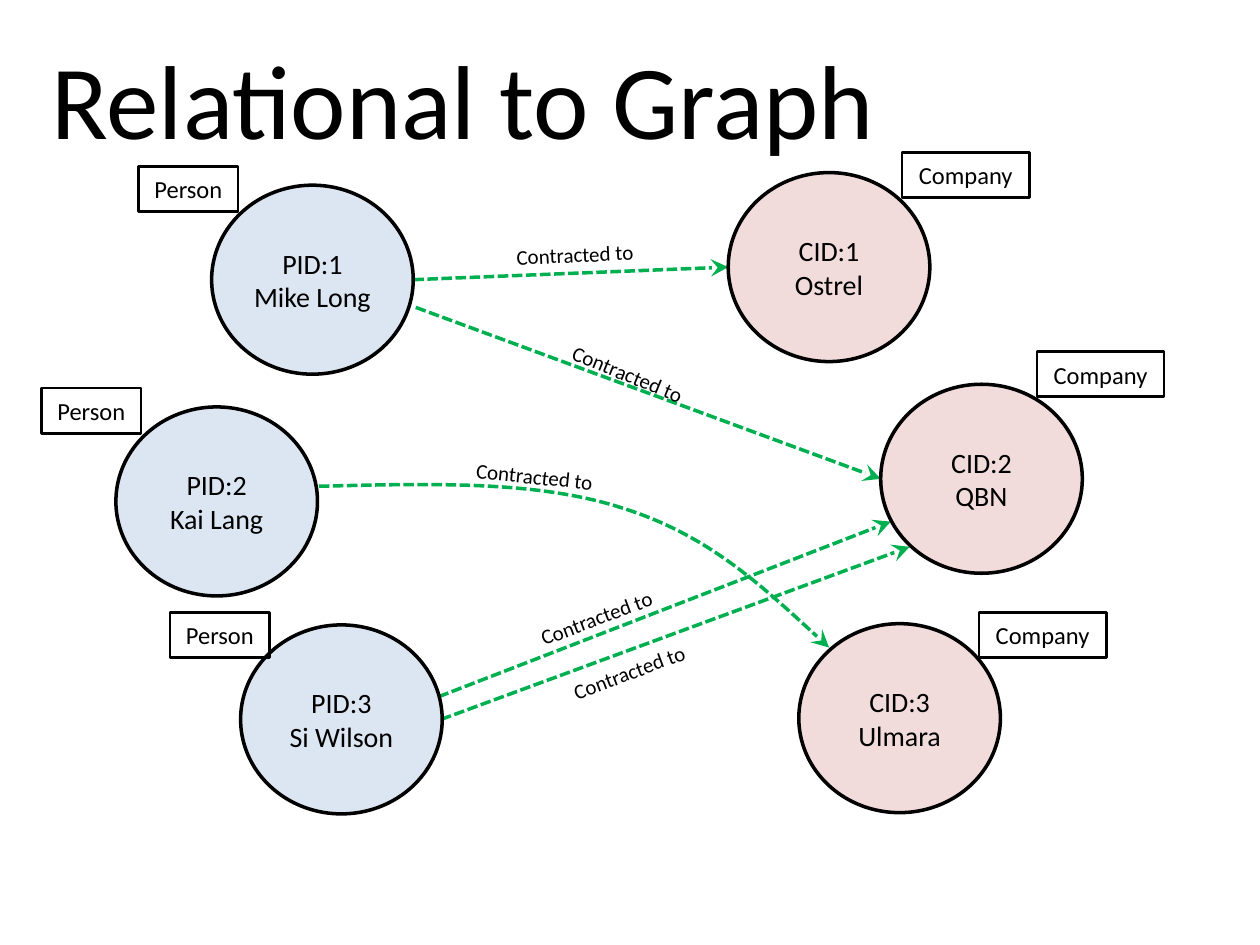
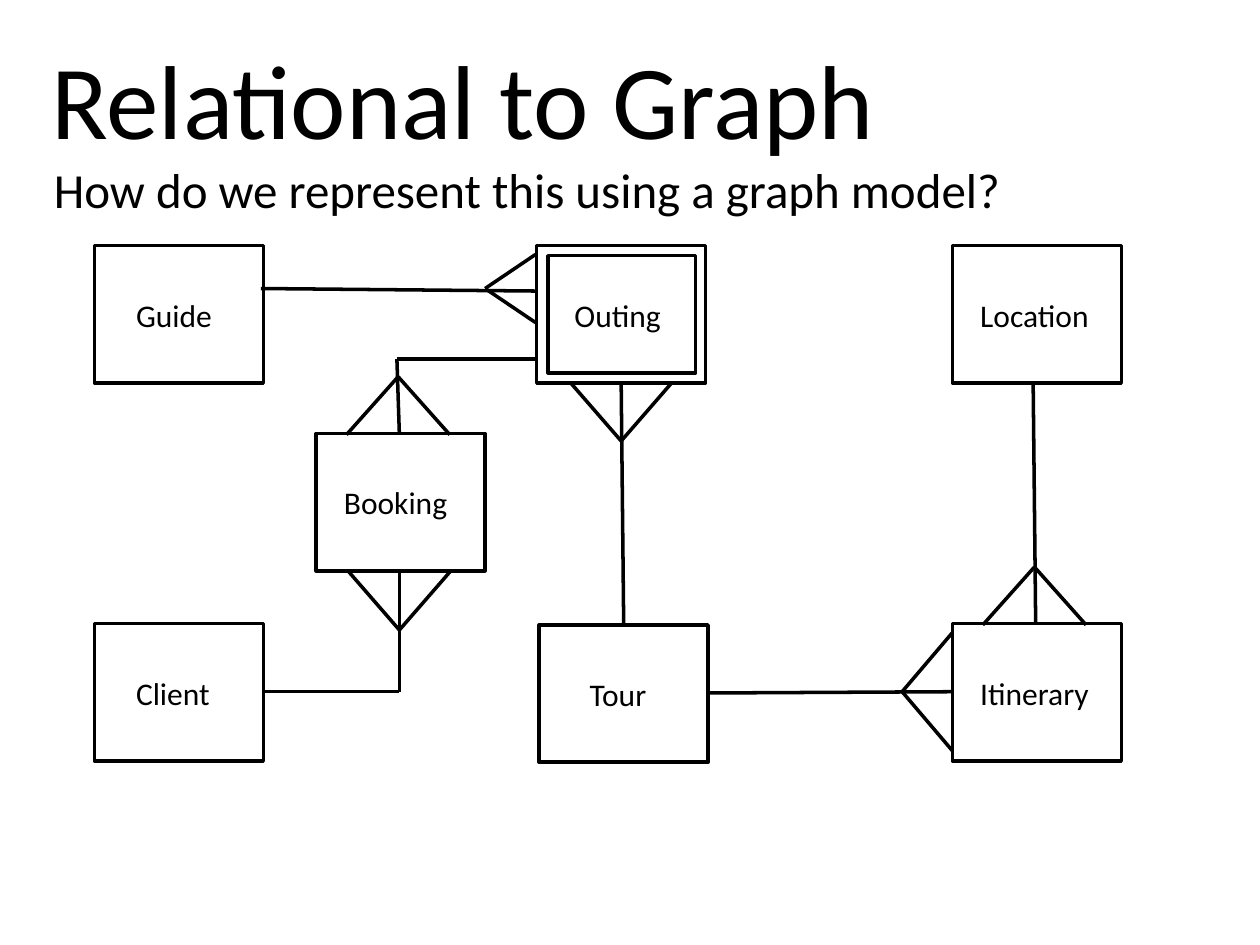
from dataclasses import dataclass

from lxml import etree
from pptx import Presentation
from pptx import util as u
from pptx.dml import color
from pptx.enum import dml, shapes, text
from pptx.oxml import ns


@dataclass(frozen=True)
class Theme:
    font: str = "Calibri"
    ink: str = "000000"
    person: str = "DCE6F2"
    company: str = "F2DCDB"
    arrow: str = "00B050"
    title_size: int = 60
    question_size: int = 28
    entity_size: int = 18
    node_size: int = 16
    tag_size: int = 14
    link_size: int = 12
    thick: float = 2
    thin: float = 1.5


THEME = Theme()
TITLE = "Relational to Graph"
QUESTION = "How do we represent this using a graph model?"

NODE_SIZE = (1.6, 1.5)
TAG_HEIGHT = 0.36
KINDS = {"Person": (THEME.person, 0.79), "Company": (THEME.company, 1.01)}
NODES = [
    ("Person", "PID:1\nMike Long", (1.68, 1.47), (1.1, 1.32)),
    ("Person", "PID:2\nKai Lang", (0.92, 3.23), (0.33, 3.08)),
    ("Person", "PID:3\nSi Wilson", (1.91, 4.96), (1.35, 4.86)),
    ("Company", "CID:1\nOstrel", (5.78, 1.37), (7.16, 1.21)),
    ("Company", "CID:3\nUlmara", (6.34, 4.95), (7.77, 4.86)),
    ("Company", "CID:2\nQBN", (6.99, 3.05), (8.23, 2.79)),
]
CONTRACTS = [
    ((3.28, 2.22), (5.78, 2.12)),
    ((3.3, 2.44), (6.99, 3.8)),
    ((3.48, 5.53), (7.07, 4.14)),
    ((3.5, 5.71), (7.22, 4.34)),
]
CURVED_CONTRACT = [(2.53, 3.86), (3.39, 3.84), (4.25, 3.81), (4.93, 4.03),
                   (5.61, 4.24), (6.09, 4.69), (6.58, 5.14)]
LINK_TEXT = "Contracted to"
LINK_LABELS = [
    ((4, 1.87), -2.6), ((4.42, 2.82), 22.3), ((4.17, 4.75), -20.5),
    ((4.43, 5.18), -20.5), ((3.68, 3.63), 6.1),
]

ENTITY_SIZE = (1.34, 1.09)
ENTITIES = [
    ("Guide", (0.75, 1.95), 0.33),
    ("Outing", (4.26, 1.95), 0.3),
    ("Tour", (4.28, 4.96), 0.4),
    ("Itinerary", (7.56, 4.95), 0.22),
    ("Location", (7.56, 1.95), 0.22),
    ("Client", (0.75, 4.95), 0.33),
    ("Booking", (2.51, 3.44), 0.22),
]
OUTING_FRAME = ((4.35, 2.03), (1.17, 0.93))
RELATIONS = [
    [(4.95, 4.96), (4.93, 3.04)],
    [(2.09, 5.49), (3.17, 5.49), (3.17, 4.54)],
    [(3.17, 3.45), (3.15, 2.85), (4.26, 2.85)],
    [(2.07, 2.29), (4.26, 2.31)],
    [(5.61, 5.5), (7.56, 5.49)],
    [(8.22, 4.95), (8.2, 3.04)],
]
CROW_FEET = [
    ((4.93, 3.5), (0, -0.46), 0.4),
    ((3.17, 5), (0, -0.46), 0.4),
    ((3.16, 2.99), (0, 0.46), 0.41),
    ((3.85, 2.29), (0.4, 0), 0.27),
    ((7.16, 5.49), (0.4, 0), 0.47),
    ((8.21, 4.5), (0, 0.46), 0.41),
]


def inches(*values):
    return [u.Inches(value) for value in values]


def write(shape, content, size, align=text.PP_ALIGN.LEFT,
          anchor=text.MSO_ANCHOR.MIDDLE, wrap=True, inset=None):
    frame = shape.text_frame
    frame.auto_size = text.MSO_AUTO_SIZE.NONE
    frame.word_wrap = wrap
    frame.vertical_anchor = anchor
    if inset is not None:
        frame.margin_left, frame.margin_right = inches(inset, 0)
    for index, line in enumerate(content.split("\n")):
        para = frame.add_paragraph() if index else frame.paragraphs[0]
        para.alignment = align
        span = para.add_run()
        span.text = line
        span.font.name = THEME.font
        span.font.size = u.Pt(size)
        span.font.color.rgb = color.RGBColor.from_string(THEME.ink)


def stroke(line, ink=THEME.ink, width=THEME.thick):
    line.color.rgb = color.RGBColor.from_string(ink)
    line.width = u.Pt(width)


def stroke_arrow(line, properties):
    stroke(line, THEME.arrow)
    line.dash_style = dml.MSO_LINE.SQUARE_DOT
    etree.SubElement(properties.find(ns.qn("a:ln")), ns.qn("a:tailEnd"),
                     type="stealth", w="lg", len="lg")


def add_box(page, place, size, preset=shapes.MSO_SHAPE.RECTANGLE,
            fill=None, width=THEME.thick):
    box = page.shapes.add_shape(preset, *inches(*place, *size))
    box.shadow.inherit = False
    if fill:
        box.fill.solid()
        box.fill.fore_color.rgb = color.RGBColor.from_string(fill)
    else:
        box.fill.background()
    stroke(box.line, width=width)
    return box


def add_line(page, start, end, arrow=False):
    line = page.shapes.add_connector(shapes.MSO_CONNECTOR.STRAIGHT,
                                     *inches(*start, *end))
    properties = line._element.spPr
    if arrow:
        stroke_arrow(line.line, properties)
    else:
        stroke(line.line)
    etree.SubElement(properties, ns.qn("a:effectLst"))


def add_curve(page, points):
    start, *rest = [inches(*point) for point in points]
    builder = page.shapes.build_freeform(*start)
    builder.add_line_segments(rest, close=False)
    curve = builder.convert_to_shape()
    curve.shadow.inherit = False
    curve.fill.background()
    stroke_arrow(curve.line, curve._element.spPr)
    segments = list(curve._element.iter(ns.qn("a:lnTo")))
    for first in range(0, len(segments), 3):
        bezier = etree.Element(ns.qn("a:cubicBezTo"))
        segments[first].addprevious(bezier)
        for segment in segments[first:first + 3]:
            bezier.append(segment[0])
            segment.getparent().remove(segment)


def add_label(page, content, place, size, font_size, turn=0,
              anchor=text.MSO_ANCHOR.TOP):
    label = page.shapes.add_textbox(*inches(*place, *size))
    label.rotation = turn
    write(label, content, font_size, anchor=anchor, wrap=False)


def add_page(deck):
    page = deck.slides.add_slide(deck.slide_layouts[5])
    title = page.shapes.title
    title.left, title.top, title.width, title.height = inches(0.31, 0.23, 8.36, 1.09)
    write(title, TITLE, THEME.title_size)
    return page


def add_contract_graph(deck):
    page = add_page(deck)
    for start, end in CONTRACTS:
        add_line(page, start, end, arrow=True)
    for kind, content, place, tag_place in NODES:
        fill, tag_width = KINDS[kind]
        node = add_box(page, place, NODE_SIZE, shapes.MSO_SHAPE.OVAL, fill)
        write(node, content, THEME.node_size, align=text.PP_ALIGN.CENTER)
        tag = add_box(page, tag_place, (tag_width, TAG_HEIGHT), width=THEME.thin)
        write(tag, kind, THEME.tag_size, align=text.PP_ALIGN.CENTER)
    add_curve(page, CURVED_CONTRACT)
    for place, turn in LINK_LABELS:
        add_label(page, LINK_TEXT, place, (1.14, 0.3), THEME.link_size, turn)


def add_booking_model(deck):
    page = add_page(deck)
    add_label(page, QUESTION, (0.33, 1.22), (7.8, 0.57), THEME.question_size)
    for name, place, inset in ENTITIES:
        entity = add_box(page, place, ENTITY_SIZE)
        write(entity, name, THEME.entity_size, inset=inset)
    add_box(page, *OUTING_FRAME)
    for route in RELATIONS:
        for start, end in zip(route, route[1:]):
            add_line(page, start, end)
    for (x, y), (reach_x, reach_y), spread in CROW_FEET:
        for side in (-spread, spread):
            toe = (x + (reach_x or side), y + (reach_y or side))
            add_line(page, (x, y), toe)


def main():
    deck = Presentation()
    deck.slide_width, deck.slide_height = inches(10, 7.5)
    add_contract_graph(deck)
    add_booking_model(deck)
    deck.save("out.pptx")


if __name__ == "__main__":
    main()
